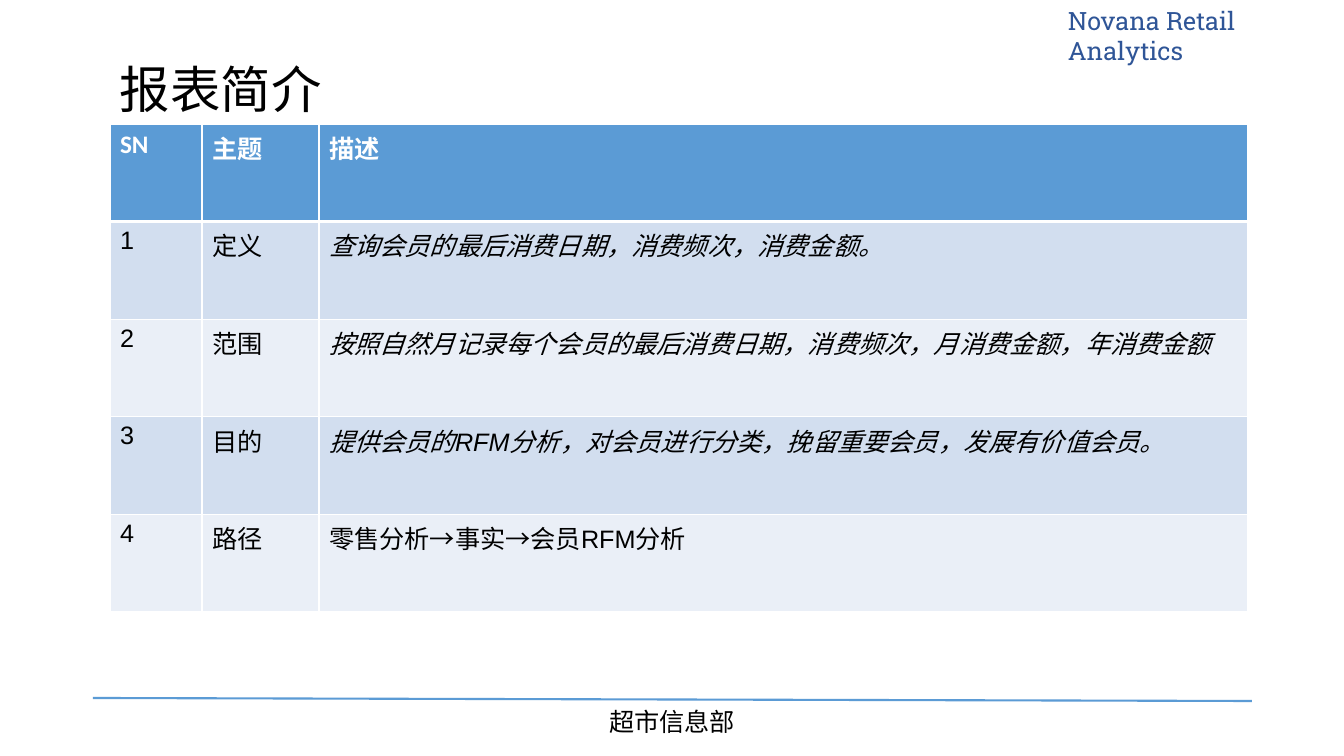
from lxml import etree
from pptx import Presentation
from pptx.dml.color import RGBColor
from pptx.enum.shapes import MSO_CONNECTOR
from pptx.enum.text import MSO_ANCHOR, PP_ALIGN
from pptx.oxml.ns import qn
from pptx.util import Pt

BLUE = RGBColor(0x5B, 0x9B, 0xD5)
NAVY = RGBColor(0x2F, 0x55, 0x97)
BLACK = RGBColor(0, 0, 0)
WHITE = RGBColor(0xFF, 0xFF, 0xFF)
BANDS = [RGBColor(0xEA, 0xEF, 0xF7), RGBColor(0xD2, 0xDE, 0xEF)]
CJK = "Noto Sans CJK SC"
LEFT, CENTER = PP_ALIGN.LEFT, PP_ALIGN.CENTER
TOP, BOTTOM = MSO_ANCHOR.TOP, MSO_ANCHOR.BOTTOM
STRAIGHT = MSO_CONNECTOR.STRAIGHT

LABELS = [
    ("Novana Retail Analytics", (1058, 0, 285, 40), LEFT, TOP, 1.0,
     dict(name="Roboto Slab", size=Pt(18), color=NAVY)),
    ("超市信息部", (564, 701, 216, 40), CENTER, TOP, 1.0,
     dict(name=CJK, size=Pt(18), color=BLACK)),
    ("报表简介", (110, 54, 602, 70), LEFT, BOTTOM, 0.9,
     dict(name="Arial", size=Pt(36), color=BLACK)),
]
FOOTER_RULE = (93, 698, 1252, 701)
REPORT_BOX = (110, 124, 1138, 488)
COLUMN_WIDTHS = [92, 117, 929]
REPORT = [
    ("SN", "主题", "描述"),
    ("1", "定义", "查询会员的最后消费日期，消费频次，消费金额。"),
    ("2", "范围", "按照自然月记录每个会员的最后消费日期，消费频次，月消费金额，年消费金额"),
    ("3", "目的", "提供会员的RFM分析，对会员进行分类，挽留重要会员，发展有价值会员。"),
    ("4", "路径", "零售分析→事实→会员RFM分析"),
]
ITALIC_CELLS = {(1, 2), (2, 2), (3, 2)}
HEADER_FORMAT = dict(name="Calibri", size=Pt(18), bold=True, color=WHITE)
BODY_FORMAT = dict(name="Arial", size=Pt(18), bold=False, color=BLACK)


def px(length):
    return round(length * 914400 / 100.8)


def write(frame, text, formats):
    run = frame.paragraphs[0].add_run()
    run.text = text
    for key, value in formats.items():
        if key == "color":
            run.font.color.rgb = value
        else:
            setattr(run.font, key, value)
    etree.SubElement(run.font._element, qn("a:ea"), typeface=CJK)


def add_border(cell, side, points):
    border = etree.SubElement(cell._tc.get_or_add_tcPr(), qn("a:ln" + side), w=str(Pt(points)))
    fill = etree.SubElement(border, qn("a:solidFill"))
    etree.SubElement(fill, qn("a:srgbClr"), val=str(WHITE))


prs = Presentation()
prs.slide_width, prs.slide_height = px(1344), px(756)
slide = prs.slides.add_slide(prs.slide_layouts[6])

for text, box, align, anchor, spacing, formats in LABELS:
    frame = slide.shapes.add_textbox(*map(px, box)).text_frame
    frame.word_wrap = True
    frame.vertical_anchor = anchor
    frame.paragraphs[0].alignment = align
    frame.paragraphs[0].line_spacing = spacing
    write(frame, text, formats)

footer_rule = slide.shapes.add_connector(STRAIGHT, *map(px, FOOTER_RULE))
footer_rule.line.color.rgb = BLUE
footer_rule.line.width = Pt(1.5)
etree.SubElement(footer_rule._element.spPr, qn("a:effectLst"))

report = slide.shapes.add_table(len(REPORT), len(COLUMN_WIDTHS), *map(px, REPORT_BOX)).table
report.horz_banding = False
for column, width in zip(report.columns, COLUMN_WIDTHS):
    column.width = px(width)

for r, entries in enumerate(REPORT):
    for c, text in enumerate(entries):
        cell = report.cell(r, c)
        for side in "LRTB":
            under_header = (r, side) in {(0, "B"), (1, "T")}
            add_border(cell, side, 3 if under_header else 1)
        cell.fill.solid()
        cell.fill.fore_color.rgb = BANDS[r % 2] if r else BLUE
        formats = BODY_FORMAT if r else HEADER_FORMAT
        write(cell.text_frame, text, {**formats, "italic": (r, c) in ITALIC_CELLS})

prs.save("out.pptx")
